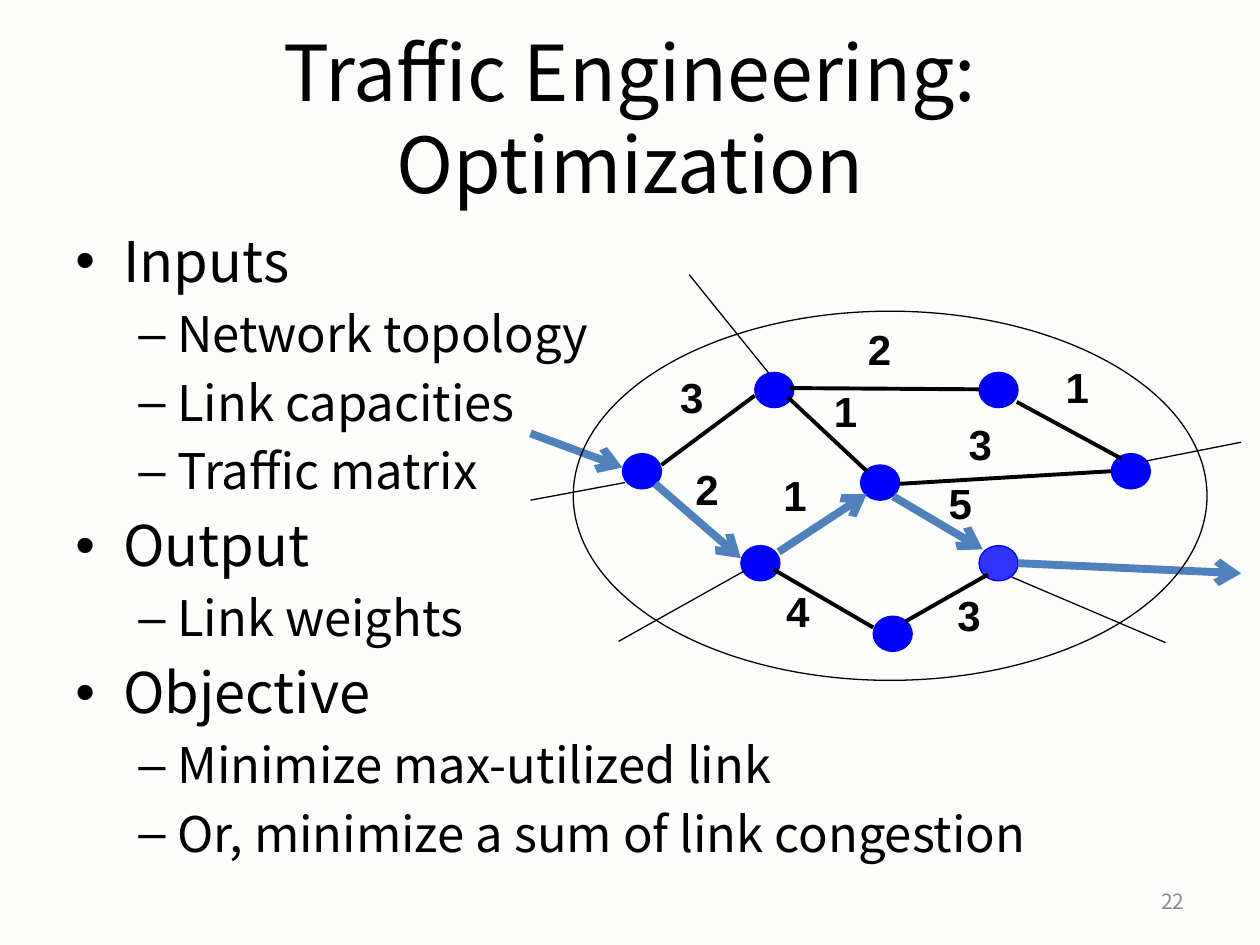
from lxml.etree import SubElement
from pptx import Presentation
from pptx.dml.color import RGBColor
from pptx.enum.shapes import MSO_CONNECTOR as Connector, MSO_SHAPE as Shape
from pptx.enum.text import MSO_ANCHOR as Anchor, PP_ALIGN as Align
from pptx.oxml.ns import qn
from pptx.util import Inches, Pt

BLACK = RGBColor(0x00, 0x00, 0x00)
GRAY = RGBColor(0x8C, 0x8C, 0x8C)
NODE_BLUE = RGBColor(0x00, 0x00, 0xFF)
EGRESS_BLUE = RGBColor(0x33, 0x33, 0xFF)
PATH_BLUE = RGBColor(0x4F, 0x81, 0xBD)
PAPER = RGBColor(0xFD, 0xFD, 0xFC)
TEXT_FONT = "Noto Sans CJK JP"
LABEL_FONT = "Arial"
COLUMNS, ROWS = 100, 75
CELL = Inches(0.1)
NODE_SIZE = (3.1, 2.8)
LABEL_SIZE = (3.7, 5)
LINE_HEIGHT = 1.2

OUTLINE = [
    ("Inputs", ["Network topology", "Link capacities", "Traffic matrix"]),
    ("Output", ["Link weights"]),
    ("Objective", ["Minimize max-utilized link",
                   "Or, minimize a sum of link congestion"]),
]
ROUTERS = [(8.95, 16.4), (18.35, 23.7), (19.45, 9.95), (27.85, 17.3),
           (37.25, 9.95), (28.85, 29.3), (47.75, 16.4)]
EGRESS = (37.25, 23.7)
LINKS = [
    (10.5, 15.9, 17.9, 10.4), (20.5, 10.5, 26.8, 16.4),
    (19.4, 24.2, 27.3, 28.8), (29.9, 28.3, 36.4, 24.6),
    (29.4, 17.4, 46.2, 16.4), (20.7, 9.8, 35.7, 9.9), (38.7, 10.9, 47, 15.4),
]
TRAFFIC_PATH = [
    (0.1, 13.4, 7.4, 16.1), (10, 17.4, 16.8, 23.3), (19.8, 22.8, 26.8, 18.2),
    (28.9, 18.4, 36, 22.6), (38.8, 23.7, 56.5, 24.5),
]
ACCESS_LINES = [
    (7.6, 17.3, 0.1, 18.7), (38.3, 24.8, 50.5, 30), (56.5, 14.1, 48.9, 15.6),
    (12.7, 0.8, 19, 8.6), (17.1, 24.3, 7.1, 29.9),
]
WEIGHTS = [
    ("3", 11, 8), ("2", 25.9, 4.2), ("2", 12.2, 15.3), ("1", 23.2, 9.1),
    ("1", 19.2, 15.8), ("3", 33.9, 11.7), ("1", 41.6, 7.2), ("4", 19.4, 25),
    ("5", 32.3, 16.4), ("3", 33, 25.3),
]


def cells(*counts):
    """Turn counts of grid cells into slide lengths."""
    return [round(count * CELL) for count in counts]


def style_font(paragraph, size, color=BLACK, name=TEXT_FONT, bold=False):
    """Set the font of a whole paragraph."""
    font = paragraph.font
    font.size, font.name, font.bold = Pt(size), name, bold
    font.color.rgb = color


def add_frame(slide, box, anchor=Anchor.TOP, wrap=True):
    """Add a text box and return its text frame."""
    frame = slide.shapes.add_textbox(*cells(*box)).text_frame
    frame.word_wrap = wrap
    frame.vertical_anchor = anchor
    return frame


def add_line(slide, origin, ends, color, weight, arrow=False):
    """Draw a straight line between two points given from the origin."""
    left, top = origin
    x1, y1, x2, y2 = ends
    line = slide.shapes.add_connector(
        Connector.STRAIGHT, *cells(left + x1, top + y1, left + x2, top + y2))
    line.line.color.rgb = color
    line.line.width = Pt(weight)
    if arrow:
        SubElement(line.line._get_or_add_ln(), qn("a:tailEnd"), type="arrow")
    SubElement(line._element.spPr, qn("a:effectLst"))


def add_ellipse(slide, box, outline, fill=None):
    """Draw an ellipse, hollow unless a fill is given."""
    ellipse = slide.shapes.add_shape(Shape.OVAL, *cells(*box))
    ellipse.shadow.inherit = False
    if fill is None:
        ellipse.fill.background()
    else:
        ellipse.fill.solid()
        ellipse.fill.fore_color.rgb = fill
    ellipse.line.color.rgb = outline
    ellipse.line.width = Pt(0.75)


def add_title(slide, box):
    """Place the centred heading."""
    heading = add_frame(slide, box, Anchor.MIDDLE).paragraphs[0]
    heading.text = "Traffic Engineering: Optimization"
    heading.alignment = Align.CENTER
    heading.line_spacing = Pt(44 * LINE_HEIGHT)
    style_font(heading, 44)


def add_outline(slide, box):
    """Place the two-level bulleted list."""
    frame = add_frame(slide, box)
    entries = [(text, level) for topic, details in OUTLINE
               for text, level in [(topic, 0)] + [(d, 1) for d in details]]
    for number, (text, level) in enumerate(entries):
        item = frame.add_paragraph() if number else frame.paragraphs[0]
        size, bullet, indent, hang = [(32, "•", 0.38, 0.38),
                                      (28, "–", 0.81, 0.31)][level]
        item.text = text
        item.level = level
        item.line_spacing = Pt(size * LINE_HEIGHT)
        item.space_before = Pt(size * 0.2 if number else 0)
        properties = item._p.get_or_add_pPr()
        properties.set("marL", str(Inches(indent)))
        properties.set("indent", str(-Inches(hang)))
        SubElement(properties, qn("a:buFont"), typeface=LABEL_FONT)
        SubElement(properties, qn("a:buChar"), char=bullet)
        style_font(item, size)


def add_network(slide, box):
    """Place the weighted network with its highlighted traffic path."""
    left, top = origin = box[:2]
    width, height = NODE_SIZE
    for x, y in ROUTERS + [EGRESS]:
        add_ellipse(slide, (left + x - width / 2, top + y - height / 2, width, height),
                    NODE_BLUE, EGRESS_BLUE if (x, y) == EGRESS else NODE_BLUE)
    for ends in LINKS:
        add_line(slide, origin, ends, BLACK, 2.25)
    for ends in TRAFFIC_PATH:
        add_line(slide, origin, ends, PATH_BLUE, 4.5, arrow=True)
    for weight, x, y in WEIGHTS:
        label = add_frame(slide, (left + x, top + y, *LABEL_SIZE), wrap=False).paragraphs[0]
        label.text = weight
        style_font(label, 24, name=LABEL_FONT, bold=True)
    add_ellipse(slide, (left + 3.5, top + 3.7, 50.3, 29.3), BLACK)
    for ends in ACCESS_LINES:
        add_line(slide, origin, ends, BLACK, 0.75)


def add_page_number(slide, box):
    """Place the page number at the lower right."""
    number = add_frame(slide, box, Anchor.MIDDLE).paragraphs[0]
    number.text = "22"
    number.alignment = Align.RIGHT
    style_font(number, 12, GRAY)


def main():
    """Build the slide and save it."""
    deck = Presentation()
    deck.slide_width, deck.slide_height = cells(COLUMNS, ROWS)
    slide = deck.slides.add_slide(deck.slide_layouts[6])
    slide.background.fill.solid()
    slide.background.fill.fore_color.rgb = PAPER
    add_title(slide, (5, 3, 90, 12.5))
    add_outline(slide, (5, 17.5, 90, 49.5))
    add_page_number(slide, (71.7, 69.5, 23.3, 4))
    add_network(slide, (42, 21, 57, 33))
    deck.save("out.pptx")


if __name__ == "__main__":
    main()
